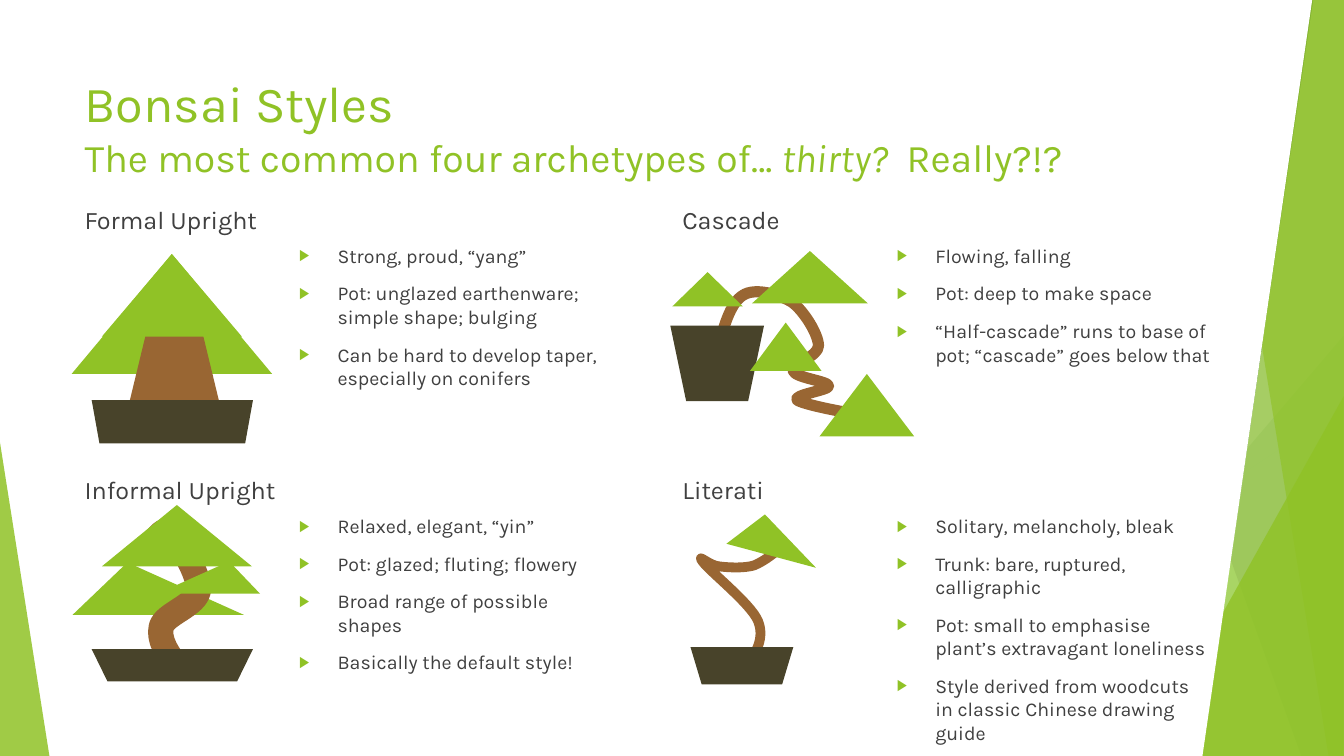
from lxml.etree import SubElement
from pptx import Presentation
from pptx.dml.color import RGBColor
from pptx.enum.shapes import MSO_CONNECTOR as Connector, MSO_SHAPE as Preset
from pptx.enum.text import MSO_ANCHOR as Anchor, MSO_AUTO_SIZE as AutoSize, PP_ALIGN as Align
from pptx.oxml.ns import qn
from pptx.util import Inches, Pt

COLUMNS, ROWS = 133.33, 75
CELL = Inches(7.5) / ROWS
LEAF, WOOD, POT, INK = "90C226", "996633", "48432A", "404040"


def grid(*cells):
    return [round(cell * CELL) for cell in cells]


def color(hex_text):
    return RGBColor.from_string(hex_text)


def paint(fill, hex_text, opacity=100):
    fill.solid()
    fill.fore_color.rgb = color(hex_text)
    if opacity < 100:
        tint = fill._xPr.find(qn("a:solidFill"))[0]
        SubElement(tint, qn("a:alpha"), val=str(opacity * 1000))


def add_bullet(paragraph):
    props = paragraph._p.get_or_add_pPr()
    props.set("marL", str(Inches(0.38)))
    props.set("indent", str(-Inches(0.38)))
    SubElement(SubElement(props, qn("a:buClr")), qn("a:srgbClr"), val=LEAF)
    SubElement(props, qn("a:buSzPct"), val="80000")
    SubElement(props, qn("a:buFont"), typeface="Arial")
    SubElement(props, qn("a:buChar"), char="▶")


def write(frame, paragraphs, size=14, ink=INK, before=10, bullets=False):
    frame.word_wrap = True
    frame.auto_size = AutoSize.NONE
    frame.vertical_anchor = Anchor.TOP
    for index, pieces in enumerate(paragraphs):
        paragraph = frame.add_paragraph() if index else frame.paragraphs[0]
        paragraph.alignment = Align.LEFT
        paragraph.space_before = Pt(before)
        if bullets:
            add_bullet(paragraph)
        for words, points, italic in [(pieces, size, False)] if isinstance(pieces, str) else pieces:
            if words == "\n":
                paragraph.add_line_break()
                continue
            run = paragraph.add_run()
            run.text = words
            run.font.name, run.font.size, run.font.italic = "Karla", Pt(points), italic
            run.font.color.rgb = color(ink)


def curve_points(start, bends, steps=24):
    points = [start]
    for x1, y1, x2, y2, x3, y3 in bends:
        x0, y0 = points[-1]
        for step in range(1, steps + 1):
            t = step / steps
            weights = ((1 - t) ** 3, 3 * t * (1 - t) ** 2, 3 * t * t * (1 - t), t ** 3)
            points.append(tuple(sum(w * v for w, v in zip(weights, axis))
                                for axis in ((x0, x1, x2, x3), (y0, y1, y2, y3))))
    return points


def bend_outline(shape, start, bends):
    route = shape._element.find(".//" + qn("a:path"))
    for straight in list(route):
        route.remove(straight)
    for tag, cells in [("a:moveTo", start)] + [("a:cubicBezTo", bend) for bend in bends]:
        move = SubElement(route, qn(tag))
        spots = grid(*cells)
        for x, y in zip(spots[::2], spots[1::2]):
            SubElement(move, qn("a:pt"), x=str(x - shape.left), y=str(y - shape.top))


class BonsaiSlide:
    def __init__(self, deck):
        self.slide = deck.slides.add_slide(deck.slide_layouts[5])
        self.shapes = self.slide.shapes

    def preset(self, kind, box, fill, adjust=None, turn=0, opacity=100):
        shape = self.shapes.add_shape(kind, *grid(*box))
        shape.shadow.inherit = False
        shape.line.fill.background()
        paint(shape.fill, fill, opacity)
        shape.rotation = turn
        if adjust is not None:
            shape.adjustments[0] = adjust
        return shape

    def foliage(self, *box, peak=0.5, turn=0):
        self.preset(Preset.ISOSCELES_TRIANGLE, box, LEAF, peak, turn)

    def pot(self, *box, taper):
        shape = self.preset(Preset.TRAPEZOID, box, POT, taper)
        shape._element.spPr.xfrm.set("flipV", "1")

    def corner(self, box, fill, peak, opacity):
        self.preset(Preset.ISOSCELES_TRIANGLE, box, fill, peak, opacity=opacity)

    def outline(self, points, closed):
        builder = self.shapes.build_freeform(*grid(*points[0]))
        builder.add_line_segments([grid(*point) for point in points[1:]], close=closed)
        shape = builder.convert_to_shape()
        shape.shadow.inherit = False
        return shape

    def facet(self, top_x, bottom_x, fill, opacity):
        shape = self.outline([(top_x, -0.1), (COLUMNS, -0.1), (COLUMNS, ROWS), (bottom_x, ROWS)], True)
        shape.line.fill.background()
        paint(shape.fill, fill, opacity)

    def trunk(self, start, bends, width):
        shape = self.outline(curve_points(start, bends), False)
        bend_outline(shape, start, bends)
        shape.fill.background()
        paint(shape.line.fill, WOOD)
        shape.line.width = Pt(width)

    def ray(self, *ends):
        line = self.shapes.add_connector(Connector.STRAIGHT, *grid(*ends))
        paint(line.line.fill, "D9D9D9")
        line.line.width = Pt(0.75)
        SubElement(line._element.spPr, qn("a:effectLst"))

    def title(self, box, pieces):
        heading = self.shapes.title
        heading.element.getparent().append(heading.element)
        heading.left, heading.top, heading.width, heading.height = grid(*box)
        write(heading.text_frame, [pieces], ink=LEAF, before=0)

    def text(self, box, paragraphs, **style):
        write(self.shapes.add_textbox(*grid(*box)).text_frame, paragraphs, **style)

    def backdrop(self):
        self.ray(COLUMNS, 40.3, 81.2, ROWS)
        self.facet(122.8, 100.4, LEAF, 30)
        self.facet(105, 118.3, LEAF, 20)
        self.corner((97.7, 33.3, 35.6, 41.7), "54A021", 1, 72)
        self.facet(102.1, 129.1, "3F7819", 70)
        self.facet(130.3, 119.2, "C0E474", 70)
        self.facet(119.6, 131.8, LEAF, 65)
        self.corner((113.4, 39.3, 19.9, 35.7), LEAF, 1, 80)
        self.corner((0, 43.9, 4.9, 31.1), LEAF, 0, 85)
        panel = self.preset(Preset.PARALLELOGRAM, (74.7, -0.2, 55.4, 75.2), "FFFFFF", 0.197)
        paint(panel.line.fill, "FFFFFF")
        panel.line.width = Pt(1.5)

    def formal_upright(self):
        self.foliage(7.1, 25.2, 19.9, 11.9)
        self.preset(Preset.TRAPEZOID, (12.6, 31.2, 9.4, 9.7), WOOD)
        self.foliage(10.1, 25.2, 13.9, 8.2)
        self.pot(9.1, 39.7, 16, 4.3, taper=0.18)

    def informal_upright(self):
        self.foliage(7.2, 55.8, 17, 5.2, peak=0.32)
        self.trunk((17.6, 66.2), [(16.6, 64.8, 15.7, 63.5, 16, 62.2),
                                  (16.3, 60.9, 19.5, 60.1, 19.7, 58.5),
                                  (19.8, 57, 17.7, 53.5, 16.9, 52.8),
                                  (16.1, 52.1, 15.1, 54.2, 14.8, 54.4)], 18)
        self.pot(9.1, 64.4, 16, 3.2, taper=0.49)
        self.foliage(10.1, 50.1, 14.9, 6.1)
        self.foliage(15.6, 55.7, 10.2, 3.2, peak=0.7)

    def cascade(self):
        self.trunk((71.1, 34.9), [(71.8, 32.5, 72.4, 30.1, 73.7, 29.3),
                                  (74.9, 28.5, 77.3, 29.2, 78.6, 30),
                                  (79.8, 30.9, 81.2, 33.2, 81.2, 34.3),
                                  (81.2, 35.4, 78.5, 36.1, 78.7, 36.8),
                                  (78.9, 37.5, 82.2, 37.8, 82.2, 38.3),
                                  (82.3, 38.7, 78.5, 39.2, 79.1, 39.7),
                                  (79.8, 40.2, 85.6, 41.3, 86.3, 41.2)], 8)
        self.pot(66.5, 32.3, 9.3, 7.5, taper=0.21)
        self.foliage(74.6, 24.9, 11.5, 5.2)
        self.foliage(66.7, 27, 7, 3.4)
        self.foliage(74.4, 32, 7.1, 4.8)
        self.foliage(81.3, 37.1, 9.4, 6.2)

    def literati(self):
        self.trunk((74, 66.2), [(75, 64.8, 75.9, 63.3, 75.2, 61.6),
                                (74.5, 59.9, 70.3, 56.6, 69.7, 55.7),
                                (69, 54.8, 70.5, 56.2, 71.4, 56.2),
                                (72.2, 56.3, 73.8, 56.4, 74.8, 56.1),
                                (75.8, 55.7, 77.1, 54.7, 77.4, 54.3),
                                (77.7, 54, 77, 53.9, 76.5, 53.8),
                                (75.9, 53.8, 74.9, 53.8, 74, 53.8)], 7)
        self.foliage(72.4, 51.4, 9.2, 3.8, peak=0.32, turn=15)
        self.pot(68.5, 64.2, 10.2, 3.7, taper=0.3)


def main():
    deck = Presentation()
    deck.slide_width, deck.slide_height = grid(COLUMNS, ROWS)
    page = BonsaiSlide(deck)
    page.backdrop()
    page.title((7.4, 6.7, 110.5, 12.6), [
        ("Bonsai Styles", 36, False), ("\n", 36, False),
        ("The most common four archetypes of… ", 28, False),
        ("thirty?", 28, True), ("  Really?!?", 28, False)])
    archetypes = [
        ("Formal Upright", 0, 0, 33.1, 18.3, page.formal_upright, [
            "Strong, proud, “yang”",
            "Pot: unglazed earthenware; simple shape; bulging",
            "Can be hard to develop taper, especially on conifers"]),
        ("Cascade", 1, 0, 34.9, 18.3, page.cascade, [
            "Flowing, falling", "Pot: deep to make space",
            "“Half-cascade” runs to base of pot; “cascade” goes below that"]),
        ("Informal Upright", 0, 1, 33.1, 17.1, page.informal_upright, [
            "Relaxed, elegant, “yin”", "Pot: glazed; fluting; flowery",
            "Broad range of possible shapes", "Basically the default style!"]),
        ("Literati", 1, 1, 33.1, 22.9, page.literati, [
            "Solitary, melancholy, bleak", "Trunk: bare, ruptured, calligraphic",
            "Pot: small to emphasise plant’s extravagant loneliness",
            "Style derived from woodcuts in classic Chinese drawing guide"])]
    for style_name, column, row, width, height, draw_tree, traits in archetypes:
        left, top = 7.4 + 59.3 * column, 19.8 + 26.8 * row
        page.text((left, top, 28.2, 4.3), [style_name], size=18)
        page.text((left + 21.3, top + 3.9, width, height), traits, bullets=True)
        draw_tree()
    deck.save("out.pptx")


if __name__ == "__main__":
    main()
